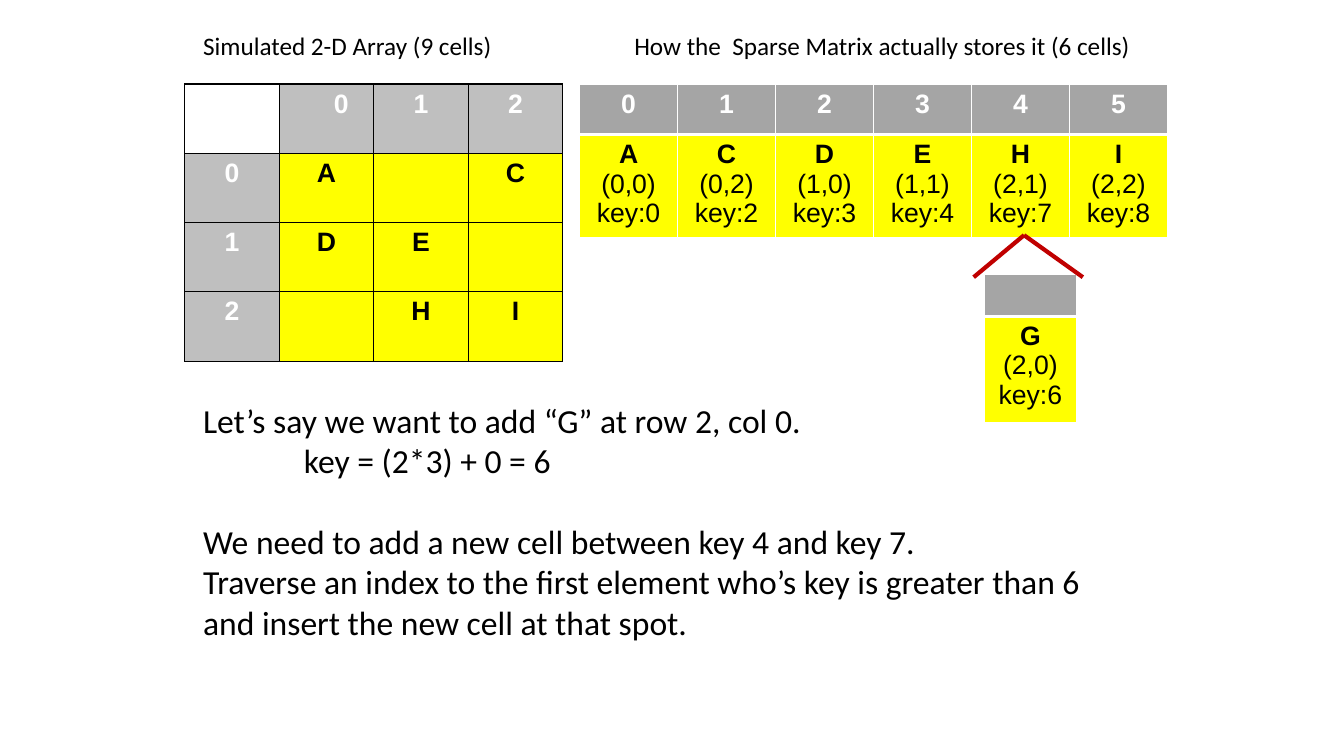
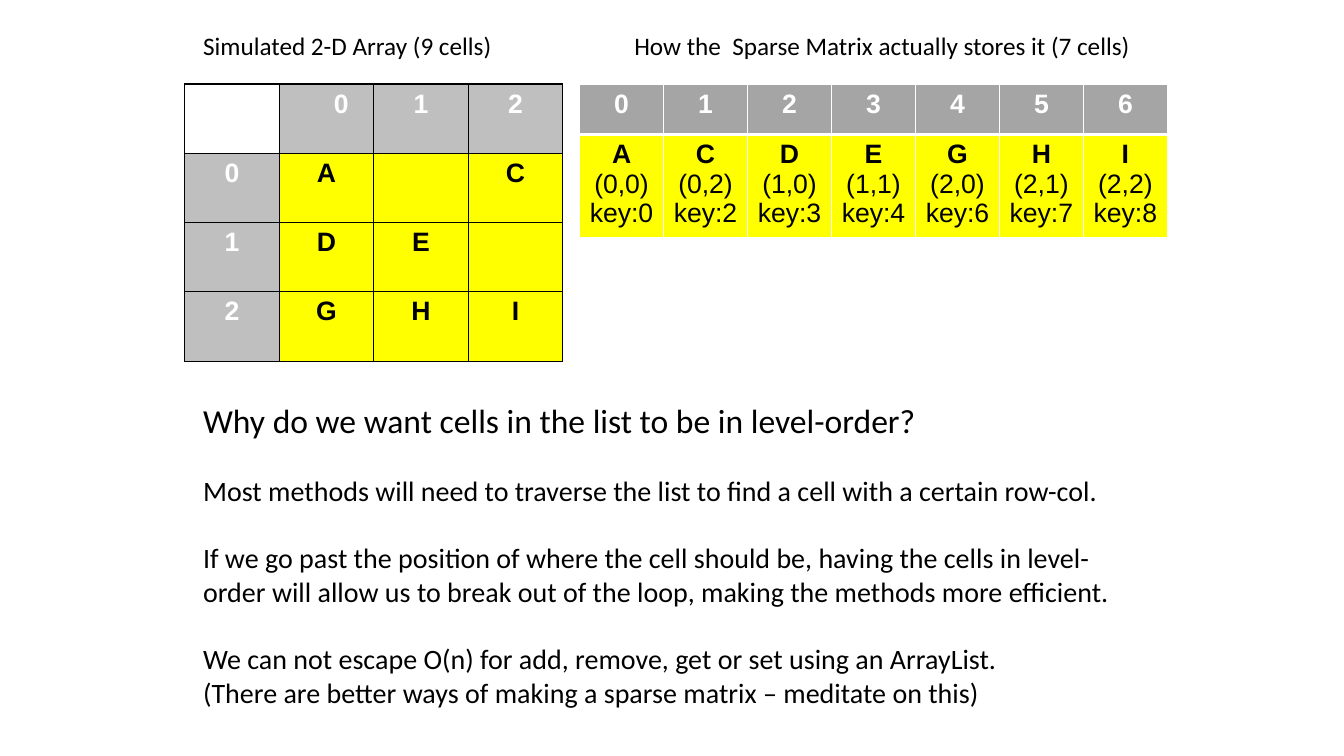
from lxml import etree
from pptx import Presentation
from pptx.dml.color import RGBColor
from pptx.enum.shapes import MSO_CONNECTOR
from pptx.enum.text import PP_ALIGN
from pptx.oxml.ns import qn
from pptx.util import Pt

CENTER = PP_ALIGN.CENTER
STRAIGHT = MSO_CONNECTOR.STRAIGHT
COLORS = {
    "black": "000000",
    "white": "FFFFFF",
    "array header": "BFBFBF",
    "list header": "A5A5A5",
    "cell": "FFFF00",
    "insert mark": "C00000",
}
SIDE = 3
CELL_MARGIN = 4
ARRAY_WIDTH, ARRAY_ROW = 270, 49.5
LIST_LEFT, LIST_WIDTH, LIST_ROW = 414, 420, 74
TABLE_TOP = 60
TEXT_LEFT = 138


def add_grid(page, left, top, width, row_heights, rows, header, border, rule=1):
    """Add a table whose top row, and first column if it is the array, are headers.

    The rule is the width of the line under the top row.
    """
    is_array = header == "array header"
    frame = page.shapes.add_table(len(rows), len(rows[0]), Pt(left), Pt(top),
                                  Pt(width), Pt(sum(row_heights)))
    table = frame.table
    table.first_row = table.horz_banding = False
    for column in table.columns:
        column.width = Pt(width / len(rows[0]))
    for r, (height, texts) in enumerate(zip(row_heights, rows)):
        table.rows[r].height = Pt(height)
        for c, text in enumerate(texts):
            cell = table.cell(r, c)
            is_header = r == 0 or (is_array and c == 0)
            cell.margin_left = cell.margin_right = Pt(CELL_MARGIN)

            properties = cell._tc.get_or_add_tcPr()
            for side in ("lnL", "lnR", "lnT", "lnB"):
                under_header = (r, side) in ((0, "lnB"), (1, "lnT"))
                line = etree.SubElement(properties, qn("a:" + side),
                                        w=str(Pt(rule if under_header else 1)))
                paint = etree.SubElement(line, qn("a:solidFill"))
                etree.SubElement(paint, qn("a:srgbClr"), val=COLORS[border])

            if is_array and r == c == 0:
                cell.fill.background()
                continue
            cell.fill.solid()
            cell.fill.fore_color.rgb = RGBColor.from_string(
                COLORS[header if is_header else "cell"])
            if not text:
                continue
            for i, words in enumerate(text.split("\n")):
                box = cell.text_frame
                para = box.add_paragraph() if i else box.paragraphs[0]
                para.alignment = CENTER
                span = para.add_run()
                span.text = words
                span.font.name = "Arial"
                span.font.size = Pt(19)
                span.font.bold = i == 0
                span.font.color.rgb = RGBColor.from_string(
                    COLORS["white" if is_header else "black"])
    return table


def add_text(page, left, top, width, height, paras):
    """Add a text box; each paragraph is (text, size, space before, indent)."""
    box = page.shapes.add_textbox(Pt(left), Pt(top), Pt(width), Pt(height)).text_frame
    box.word_wrap = True
    for i, (text, size, before, indent) in enumerate(paras):
        para = box.add_paragraph() if i else box.paragraphs[0]
        para.space_before = Pt(before)
        if indent:
            para._p.get_or_add_pPr().set("marL", str(Pt(indent)))
        span = para.add_run()
        span.text = text
        span.font.name = "Calibri"
        span.font.size = Pt(size)
        span.font.color.rgb = RGBColor.from_string(COLORS["black"])


def stored_cell(letter, key):
    return f"{letter}\n({key // SIDE},{key % SIDE})\nkey:{key}"


# Letters in key order; a space is an empty cell
slides = [
    ("A CDE HI", 211, [
        ("Let’s say we want to add “G” at row 2, col 0.", 24, 0, 0),
        ("key = (2*3) + 0 = 6", 24, 0, 72),
        ("We need to add a new cell between key 4 and key 7.", 24, 29, 0),
        ("Traverse an index to the first element who’s key is greater than 6 "
         "and insert the new cell at that spot.", 24, 0, 0),
    ]),
    ("A CDE GHI", 252, [
        ("Why do we want cells in the list to be in level-order?", 24, 0, 0),
        ("Most methods will need to traverse the list to find a cell with a "
         "certain row-col.", 20, 24, 0),
        ("If we go past the position of where the cell should be, having the "
         "cells in level-order will allow us to break out of the loop, making "
         "the methods more efficient.", 20, 24, 0),
        ("We can not escape O(n) for add, remove, get or set using an "
         "ArrayList.", 20, 24, 0),
        ("(There are better ways of making a sparse matrix – meditate on this)",
         20, 0, 0),
    ]),
]
slides[0] = ("A CDE  HI",) + slides[0][1:]

deck = Presentation()
deck.slide_width, deck.slide_height = Pt(960), Pt(540)
pages = []
for letters, text_height, paras in slides:
    page = deck.slides.add_slide(deck.slide_layouts[6])
    pages.append(page)

    array_rows = [["", *map(str, range(SIDE))]]
    for row in range(SIDE):
        array_rows.append([str(row), *letters[row * SIDE:(row + 1) * SIDE].replace(" ", "\0")])
    array_rows = [[text.strip("\0") for text in row] for row in array_rows]
    array = add_grid(page, 132, TABLE_TOP, ARRAY_WIDTH, [ARRAY_ROW] * (SIDE + 1),
                     array_rows, "array header", "black")
    array.cell(0, 1).margin_left = Pt(CELL_MARGIN + 21)

    stored = [stored_cell(letter, key) for key, letter in enumerate(letters)
              if letter != " "]
    add_grid(page, LIST_LEFT, TABLE_TOP, LIST_WIDTH, [36, LIST_ROW],
             [[str(i) for i in range(len(stored))], stored],
             "list header", "white", rule=3)

    add_text(page, TEXT_LEFT, 18, 270, 29,
             [("Simulated 2-D Array (9 cells)", 18, 0, 0)])
    add_text(page, 446, 18, 390, 29,
             [(f"How the  Sparse Matrix actually stores it ({len(stored)} cells)",
               18, 0, 0)])
    add_text(page, TEXT_LEFT, 282, 678, text_height, paras)

# New cell waiting to be inserted before key 7
add_grid(pages[0], 703, 196, 66, [30, LIST_ROW], [[""], [stored_cell("G", 6)]],
         "list header", "white", rule=3)
tip = (731.5, 168)
for foot in ((695.5, 198), (773.5, 198)):
    mark = pages[0].shapes.add_connector(STRAIGHT, *map(Pt, foot + tip))
    mark.line.color.rgb = RGBColor.from_string(COLORS["insert mark"])
    mark.line.width = Pt(3)
    etree.SubElement(mark._element.spPr, qn("a:effectLst"))

deck.save("out.pptx")
